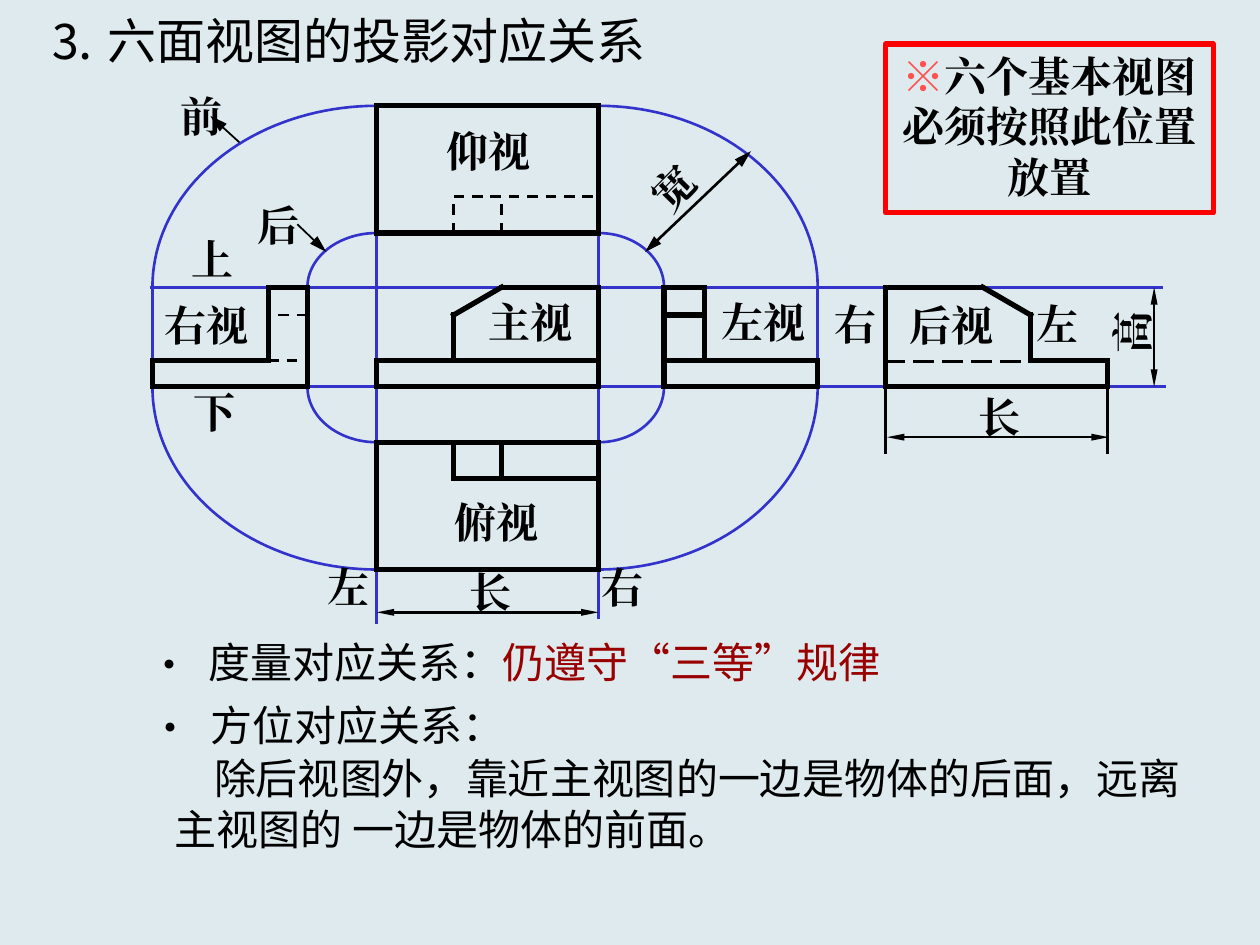
import math
import pptx
import pptx.dml.color
import pptx.enum.dml
import pptx.enum.shapes
import pptx.enum.text
import pptx.oxml.ns
import pptx.util
from lxml import etree

THEME = {
    "bg": "DEEAEE", "ink": "000000", "guide": "3333CC", "accent": "990000",
    "mark": "FF5050", "frame": "FF0000", "body": 24, "title": 28,
    "sans": "Noto Sans CJK SC", "serif": "Times New Roman",
}
DASH = pptx.enum.dml.MSO_LINE.DASH
LONG_DASH = pptx.enum.dml.MSO_LINE.LONG_DASH
PEN = {
    "guide": {"color": "guide", "width": 1.5},
    "thin": {"color": "ink", "width": 1},
    "outline": {"color": "ink", "width": 3, "cap": "sq"},
    "hidden": {"color": "ink", "width": 1.5, "dash": DASH},
    "far": {"color": "ink", "width": 1.5, "dash": LONG_DASH},
    "extension": {"color": "ink", "width": 1.5},
    "dimension": {"color": "ink", "width": 1.5, "ends": ("headEnd", "tailEnd"), "head_w": "sm"},
    "depth": {"color": "ink", "width": 1.5, "ends": ("headEnd", "tailEnd"), "head_w": "med"},
    "pointer": {"color": "ink", "width": 1, "ends": ("tailEnd",), "head_w": "med"},
}
COLS = dict(zip("abcdefghijklmn", (1.21, 2.13, 2.44, 2.99, 3.6, 3.98, 4.75,
                                   5.27, 5.59, 6.49, 7.03, 7.8, 8.18, 8.79)))
ROWS = dict(zip("ABCDEFGHIJ", (0.84, 1.56, 1.85, 2.28, 2.5, 2.86, 3.07, 3.51, 3.8, 4.52)))

ARCS = "dAaD dCcD gAjD gChD dJaG dHcG gJjG gHhG".split()
STROKES = [
    ("guide", "jDjG aDaG".split()),
    ("guide", [(2.99, 1.82, 2.99, 4.95), (4.75, 1.85, 4.75, 4.91),
               (1.19, 2.28, 9.23, 2.28), (1.23, 3.07, 9.25, 3.07)]),
    ("thin", "hDhG gCdC cDcG dHgH gJdJ dAgA".split()),
    ("outline", "dGgG dFgF gGgD eFeE gDfD eEfD dFdG".split()),
    ("outline", "dHgH gHgJ gJdJ dJdH eIgI eHeI fHfI".split()),
    ("outline", "dCgC gCgA gAdA dAdC".split()),
    ("hidden", "eBgB eCeB fCfB".split()),
    ("outline", "nGkG nGnF kGkD mFmE kDlD mElD mFnF".split()),
    ("far", [(8.1, 2.87, 6.98, 2.87)]),
    ("outline", "hGjG hFjF jFjG hGhD hDiD iDiF hEiE".split()),
    ("outline", "aFaG cGaG bFaF cGcD cDbD bDbF".split()),
    ("hidden", "cEbE bFcF".split()),
    ("dimension", [(2.99, 4.86, 4.75, 4.86), (7.04, 3.47, 8.8, 3.47), (9.16, 2.28, 9.16, 3.07)]),
    ("depth", [(5.12, 2, 5.96, 1.2)]),
    ("pointer", [(1.9, 1.13, 1.67, 0.92), (2.36, 1.78, 2.59, 2)]),
    ("extension", [(7.03, 3.05, 7.03, 3.6), (8.79, 3.05, 8.79, 3.6)]),
]
LABELS = [
    ("长", 3.89, 4.7, 0), ("高", 8.98, 2.64, 270), ("宽", 5.34, 1.49, 314.5),
    ("上", 1.69, 2.05, 0), ("下", 1.7, 3.27, 0), ("左", 2.77, 4.66, 0),
    ("右", 4.94, 4.66, 0), ("前", 1.6, 0.92, 0), ("后", 2.21, 1.78, 0),
    ("右", 6.79, 2.57, 0), ("左", 8.39, 2.57, 0), ("长", 7.93, 3.31, 0),
    ("主视", 4.21, 2.55, 0), ("俯视", 3.94, 4.14, 0), ("仰视", 3.88, 1.2, 0),
    ("左视", 6.06, 2.55, 0), ("右视", 1.64, 2.58, 0), ("后视", 7.55, 2.58, 0),
]
TEXTS = [
    ((0.28, 0.03, 6.33, 0.57), "title", {}, [("⒊ 六面视图的投影对应关系", "ink")]),
    ((1.08, 5, 7.89, 0.51), "body", {"marL": 0.48, "indent": -0.48, "bullet": "•"},
     [("度量对应关系：", "ink"), ("仍遵守“三等”规律", "accent")]),
    ((1.09, 5.5, 4.25, 0.51), "body", {"marL": 0.48, "indent": -0.48, "bullet": "•"},
     [("方位对应关系：", "ink")]),
    ((1.29, 5.92, 8.29, 0.91), "body", {"marL": 0, "indent": 0.31},
     [("除后视图外，靠近主视图的一边是物体的后面，远离主视图的 一边是物体的前面。", "ink")]),
]
NOTE = ((7.03, 0.35, 2.6, 1.34), [("※", "mark"), ("六个基本视图必须按照此位置放置", "ink")])


def rgb(name):
    return pptx.dml.color.RGBColor.from_string(THEME[name])


def inches(values):
    return [pptx.util.Inches(v) for v in values]


def sub(parent, tag, **attrs):
    return etree.SubElement(parent, pptx.oxml.ns.qn("a:" + tag), attrs)


def points(stroke):
    if isinstance(stroke, str):
        return [(COLS if ch in COLS else ROWS)[ch] for ch in stroke]
    return stroke


def draw_line(s, stroke, pen):
    c = s.shapes.add_connector(pptx.enum.shapes.MSO_CONNECTOR.STRAIGHT, *inches(points(stroke)))
    c.line.color.rgb = rgb(pen["color"])
    c.line.width = pptx.util.Pt(pen["width"])
    if "dash" in pen:
        c.line.dash_style = pen["dash"]
    ln = c.line._get_or_add_ln()
    if "cap" in pen:
        ln.set("cap", pen["cap"])
    for end in pen.get("ends", ()):
        sub(ln, end, type="triangle", w=pen["head_w"], len="lg")
    sub(c._element.spPr, "effectLst")


def draw_arc(s, stroke, pen, steps=40):
    x0, y0, x1, y1 = points(stroke)
    angles = [math.pi / 2 * i / steps for i in range(steps + 1)]
    curve = [inches((x0 + (x1 - x0) * math.sin(t), y1 + (y0 - y1) * math.cos(t))) for t in angles]
    builder = s.shapes.build_freeform(*curve[0])
    builder.add_line_segments(curve[1:], close=False)
    sp = builder.convert_to_shape()
    sp.shadow.inherit = False
    sp.fill.background()
    sp.line.color.rgb = rgb(pen["color"])
    sp.line.width = pptx.util.Pt(pen["width"])


def write(sp, runs, size, font, bold=False, align=None, wrap=True, anchor="MIDDLE", layout=None):
    tf = sp.text_frame
    frame = {"word_wrap": wrap, "auto_size": pptx.enum.text.MSO_AUTO_SIZE.SHAPE_TO_FIT_TEXT,
             "vertical_anchor": pptx.enum.text.MSO_ANCHOR[anchor]}
    for key, value in frame.items():
        setattr(tf, key, value)
    p = tf.paragraphs[0]
    p.alignment = align
    layout = layout or {}
    pPr = p._p.get_or_add_pPr()
    for key in ("marL", "indent"):
        if key in layout:
            pPr.set(key, str(int(pptx.util.Inches(layout[key]))))
    if "bullet" in layout:
        sub(pPr, "buFont", typeface=THEME[font])
        sub(pPr, "buChar", char=layout["bullet"])
    for text, color in runs:
        r = p.add_run()
        r.text = text
        for key, value in {"size": pptx.util.Pt(THEME[size]), "bold": bold, "name": THEME[font]}.items():
            setattr(r.font, key, value)
        r.font.color.rgb = rgb(color)
        sub(r._r.get_or_add_rPr(), "ea", typeface=THEME[font])


def main():
    prs = pptx.Presentation()
    prs.slide_width, prs.slide_height = inches((10, 7.5))
    s = prs.slides.add_slide(prs.slide_layouts[6])
    s.background.fill.solid()
    s.background.fill.fore_color.rgb = rgb("bg")
    center = pptx.enum.text.PP_ALIGN.CENTER

    for arc in ARCS:
        draw_arc(s, arc, PEN["guide"])
    for pen, strokes in STROKES:
        for stroke in strokes:
            draw_line(s, stroke, PEN[pen])

    for text, x, y, angle in LABELS:
        w, h = 0.2 + len(text) / 3, 0.5
        sp = s.shapes.add_textbox(*inches((x - w / 2, y - h / 2, w, h)))
        sp.rotation = angle
        write(sp, [(text, "ink")], "body", "serif", True, center, False)
    for box, size, layout, runs in TEXTS:
        write(s.shapes.add_textbox(*inches(box)), runs, size, "sans", layout=layout)

    box, runs = NOTE
    sp = s.shapes.add_shape(pptx.enum.shapes.MSO_SHAPE.RECTANGLE, *inches(box))
    sp.shadow.inherit = False
    sp.fill.background()
    sp.line.color.rgb = rgb("frame")
    sp.line.width = pptx.util.Pt(3)
    write(sp, runs, "body", "serif", True, center, anchor="TOP")
    prs.save("out.pptx")


if __name__ == "__main__":
    main()
